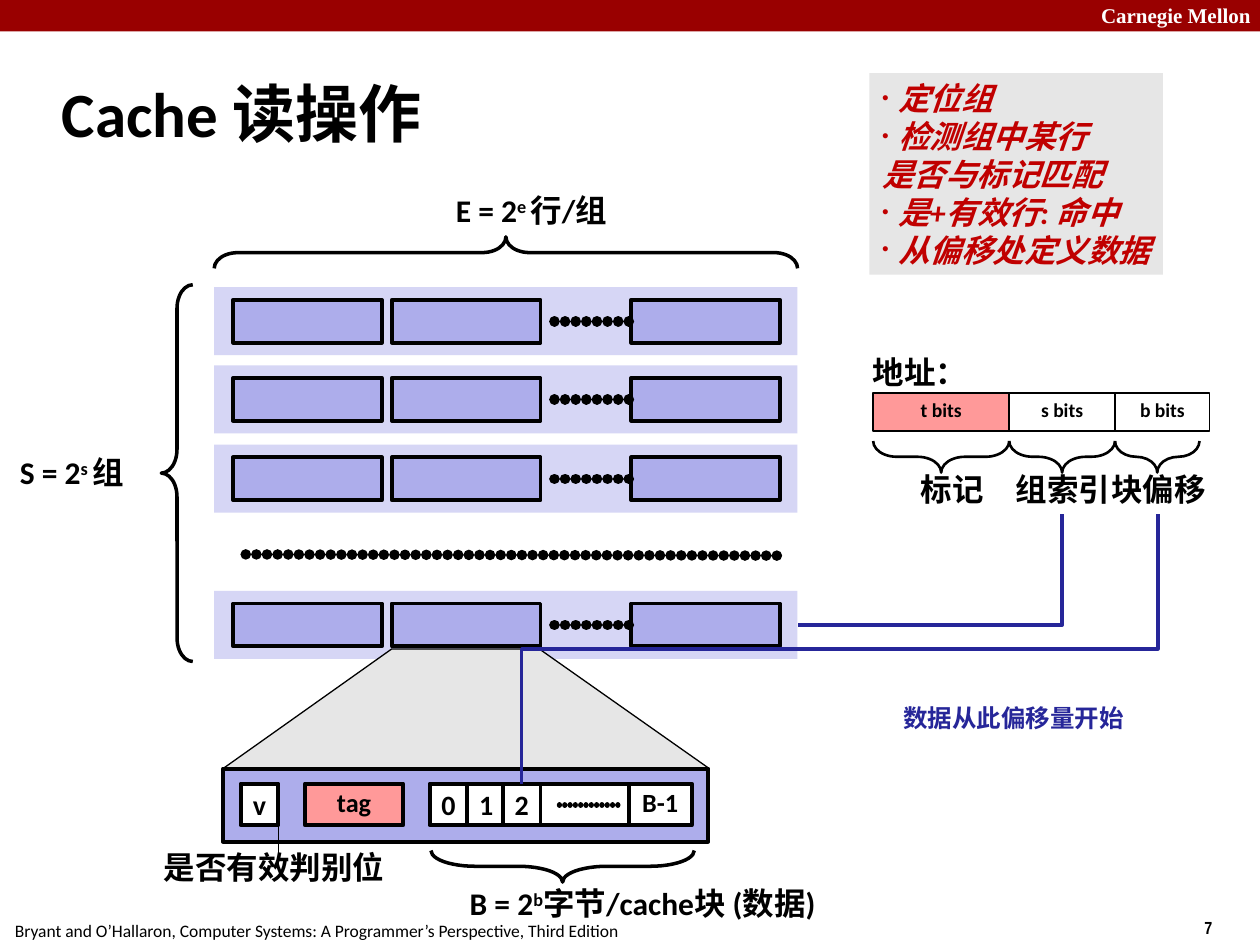
from lxml import etree
from pptx import Presentation
from pptx.dml.color import RGBColor
from pptx.enum.shapes import MSO_CONNECTOR, MSO_SHAPE
from pptx.enum.text import MSO_ANCHOR, MSO_AUTO_SIZE, PP_ALIGN
from pptx.oxml.ns import qn
from pptx.util import Inches, Pt

RECTANGLE, LEFT_BRACE = MSO_SHAPE.RECTANGLE, MSO_SHAPE.LEFT_BRACE
STRAIGHT, ELBOW = MSO_CONNECTOR.STRAIGHT, MSO_CONNECTOR.ELBOW
LEFT, CENTER = PP_ALIGN.LEFT, PP_ALIGN.CENTER
TOP, MIDDLE = MSO_ANCHOR.TOP, MSO_ANCHOR.MIDDLE
NO_FIT, GROW = MSO_AUTO_SIZE.NONE, MSO_AUTO_SIZE.SHAPE_TO_FIT_TEXT

COLORS = {
    "black": "000000", "white": "FFFFFF", "banner": "990000", "set": "D6D6F5",
    "block": "ADADEB", "gray": "E6E6E6", "tag": "FF9999", "path": "262699",
    "step": "C00000",
}


def color(name):
    return RGBColor.from_string(COLORS[name])


def add_xml(parent, tag, **attributes):
    return etree.SubElement(parent, qn(tag), attributes)


class CacheSlide:
    """Holds the text style and the slide being drawn."""

    font = "Calibri"

    def __init__(self, slide):
        self.slide = slide
        self.shapes = slide.shapes

    def start_group(self):
        self.shapes = self.slide.shapes.add_group_shape().shapes

    def end_group(self):
        self.shapes = self.slide.shapes

    def style_run(self, run, size, fill="black", bold=True, font=None):
        run.font.name = font or self.font
        run.font.size = Pt(size)
        run.font.bold = bold
        run.font.color.rgb = color(fill)

    def paint(self, shape, fill, line_width):
        shape.shadow.inherit = False
        shape.fill.solid()
        shape.fill.fore_color.rgb = color(fill)
        if line_width:
            shape.line.color.rgb = color("black")
            shape.line.width = Pt(line_width)
        else:
            shape.line.fill.background()

    def title(self, text, left, top, width, height):
        title = self.slide.shapes.title
        title.left, title.top = Inches(left), Inches(top)
        title.width, title.height = Inches(width), Inches(height)
        frame = title.text_frame
        frame.text = text
        frame.auto_size = NO_FIT
        frame.vertical_anchor = MIDDLE
        frame.paragraphs[0].alignment = LEFT
        for run in frame.paragraphs[0].runs:
            self.style_run(run, 36)

    def steps(self, items, left, top, width, height):
        """Fill the body placeholder with (text, has_bullet) items."""
        body = self.slide.placeholders[1]
        body.left, body.top = Inches(left), Inches(top)
        body.width, body.height = Inches(width), Inches(height)
        body.fill.solid()
        body.fill.fore_color.rgb = color("gray")
        frame = body.text_frame
        frame.text = "\n".join(text for text, _ in items)
        frame.word_wrap = True
        frame.auto_size = NO_FIT
        frame.margin_right = 0
        frame.vertical_anchor = TOP
        for paragraph, (_, has_bullet) in zip(frame.paragraphs, items):
            paragraph.alignment = LEFT
            paragraph.space_before = Pt(0)
            properties = paragraph._p.get_or_add_pPr()
            properties.set("marL", str(Inches(0.13)))
            properties.set("indent", str(-Inches(0.13)))
            if has_bullet:
                bullet_color = add_xml(properties, "a:buClr")
                add_xml(bullet_color, "a:srgbClr", val=COLORS["step"])
                add_xml(properties, "a:buSzPct", val="60000")
                add_xml(properties, "a:buChar", char="•")
            else:
                add_xml(properties, "a:buNone")
            for run in paragraph.runs:
                self.style_run(run, 18, "step")
                run.font.italic = True

    def label(self, parts, left, top, width, height=0.4, size=18, fill="black",
              bold=True, font=None, align=LEFT):
        """Add a text box; the second of several parts is superscript."""
        box = self.shapes.add_textbox(
            Inches(left), Inches(top), Inches(width), Inches(height))
        frame = box.text_frame
        frame.word_wrap = False
        frame.auto_size = GROW
        paragraph = frame.paragraphs[0]
        paragraph.alignment = align
        for index, part in enumerate(parts):
            run = paragraph.add_run()
            run.text = part
            self.style_run(run, size, fill, bold, font)
            if index == 1:
                run.font._element.set("baseline", "30000")

    def box(self, left, top, width, height, fill, line_width=2.25, text="",
            size=16, spacing=1.0, wrap=False):
        shape = self.shapes.add_shape(
            RECTANGLE, Inches(left), Inches(top), Inches(width), Inches(height))
        self.paint(shape, fill, line_width)
        if text:
            frame = shape.text_frame
            frame.text = text
            frame.word_wrap = wrap
            frame.vertical_anchor = MIDDLE
            paragraph = frame.paragraphs[0]
            paragraph.alignment = CENTER
            paragraph.line_spacing = spacing
            self.style_run(paragraph.runs[0], size)
        return shape

    def brace(self, left, top, length, rotation=0, line_width=2, curve=0.75):
        """Add a brace by the corner of its visible extent; 90 points up, 270 down."""
        depth = 0.25
        if rotation:
            left, top = left + (length - depth) / 2, top + (depth - length) / 2
        shape = self.shapes.add_shape(
            LEFT_BRACE, Inches(left), Inches(top), Inches(depth), Inches(length))
        shape.adjustments[0] = curve
        shape.rotation = rotation
        shape.shadow.inherit = False
        shape.fill.background()
        shape.line.color.rgb = color("black")
        shape.line.width = Pt(line_width)

    def polygon(self, points, fill, line_width):
        corners = [(Inches(x), Inches(y)) for x, y in points]
        builder = self.shapes.build_freeform(*corners[0])
        builder.add_line_segments(corners[1:], close=True)
        self.paint(builder.convert_to_shape(), fill, line_width)

    def line(self, start, end, width, fill="black", kind=STRAIGHT, dotted=False):
        connector = self.shapes.add_connector(
            kind, *(Inches(value) for value in (*start, *end)))
        connector.line.color.rgb = color(fill)
        connector.line.width = Pt(width)
        if dotted:
            line_xml = connector.line._get_or_add_ln()
            line_xml.set("cap", "rnd")
            dash = add_xml(line_xml, "a:custDash")
            add_xml(dash, "a:ds", d="1000", sp="100000")
        add_xml(connector._element.spPr, "a:effectLst")
        return connector

    def elbow(self, start, end, preset):
        """Draw a path that leaves downwards: an elbow turned by 90 degrees."""
        (x1, y1), (x2, y2) = start, end
        middle_x, middle_y = (x1 + x2) / 2, (y1 + y2) / 2
        half_width, half_height = (y2 - y1) / 2, (x1 - x2) / 2
        connector = self.line(
            (middle_x - half_width, middle_y - half_height),
            (middle_x + half_width, middle_y + half_height), 2, "path", ELBOW)
        properties = connector._element.spPr
        properties.find(qn("a:xfrm")).set("rot", "5400000")
        properties.find(qn("a:prstGeom")).set("prst", preset)

    def cache_set(self, top):
        self.start_group()
        self.box(1.7, top, 4.63, 0.54, "set", 0)
        for left in (1.85, 3.11, 5.01):
            block = self.box(left, top + 0.1, 1.18, 0.34, "block")
        middle = top + 0.27
        dots = self.line((4.4, middle), (5.01, middle), 6, dotted=True)
        dots.end_connect(block, 1)
        self.end_group()


def main():
    presentation = Presentation()
    presentation.slide_width, presentation.slide_height = Inches(10), Inches(7.5)
    drawing = CacheSlide(presentation.slides.add_slide(presentation.slide_layouts[1]))

    drawing.box(0, 0, 10, 0.25, "banner", 0)
    drawing.label(["Carnegie Mellon"], 8.64, -0.03, 1.43, 0.3, 12, "white",
                  font="Times New Roman")
    drawing.label(["7"], 9.46, 7.23, 0.75, 0.27, 10, font="Arial Narrow")
    drawing.label(["Bryant and O’Hallaron, Computer Systems: A Programmer’s "
                   "Perspective, Third Edition"], 0.02, 7.25, 5.01, 0.27, 10, bold=False)
    drawing.title("Cache 读操作", 0.39, 0.48, 6.4, 0.83)
    drawing.steps([("定位组", True), ("检测组中某行", True), ("是否与标记匹配", False),
                   ("是+有效行: 命中", True), ("从偏移处定义数据", True)],
                  6.9, 0.58, 2.33, 1.6)

    # Cache sets
    drawing.brace(1.7, 1.88, 4.63, 90)
    drawing.brace(1.28, 2.26, 2.99)
    drawing.label(["E = 2", "e ", "行/组"], 3.52, 1.47, 1.6)
    drawing.label(["S = 2", "s ", "组"], 0.06, 3.55, 1.1)
    for top in (2.28, 2.9, 3.53, 4.69):
        drawing.cache_set(top)
    drawing.line((1.95, 4.4), (6.19, 4.41), 6, dotted=True)

    # One cache line in detail
    drawing.polygon([(1.77, 6.1), (3.11, 5.15), (4.28, 5.15), (5.63, 6.1)], "gray", 0.75)
    drawing.box(1.77, 6.1, 3.85, 0.58, "block")
    for text, left, width, fill, size, spacing in (
            ("0", 3.41, 0.3, "white", 16, 1.0), ("1", 3.71, 0.3, "white", 16, 1.0),
            ("2", 3.99, 0.3, "white", 16, 1.0), ("B-1", 4.99, 0.5, "white", 15, 0.9),
            ("", 4.29, 0.7, "white", 16, 1.0), ("tag", 2.42, 0.78, "tag", 15, 0.9),
            ("v", 1.91, 0.3, "white", 16, 1.0)):
        drawing.box(left, 6.22, width, 0.33, fill, 2.25, text, size, spacing)
    drawing.line((4.44, 6.39), (4.94, 6.39), 3, dotted=True)
    drawing.label(["是否有效判别位"], 1.2, 6.68, 1.95)
    drawing.line((2.21, 6.88), (2.21, 6.55), 0.75)
    drawing.brace(3.42, 6.75, 2.09, 270, curve=1.4)
    drawing.label(["B = 2", "b", "字节/cache块 (数据)"], 3.63, 6.97, 3.3)

    # Address fields
    drawing.label(["地址："], 6.83, 2.75, 0.95)
    for text, left, width, brace_width, fill in (
            ("t bits", 6.93, 1.08, 1.08, "tag"), ("s bits", 8.01, 0.84, 0.84, "white"),
            ("b bits", 8.85, 0.75, 0.67, "white")):
        drawing.box(left, 3.12, width, 0.3, fill, 1, text, 11.2, 0.8, wrap=True)
        drawing.brace(left, 3.5, brace_width, 270, 1.5)
    for text, left, width, align in (("标记", 7.21, 0.7, LEFT),
                                     ("组索引", 7.96, 0.95, CENTER),
                                     ("块偏移", 8.72, 0.95, CENTER)):
        drawing.label([text], left, 3.68, width, align=align)
    drawing.elbow((8.43, 4.08), (6.33, 4.96), "bentConnector2")
    drawing.elbow((9.19, 4.08), (4.14, 6.22), "bentConnector3")
    drawing.label(["数据从此偏移量开始"], 7.07, 5.53, 2, 0.34, 14, "path")

    presentation.save("out.pptx")


if __name__ == "__main__":
    main()
